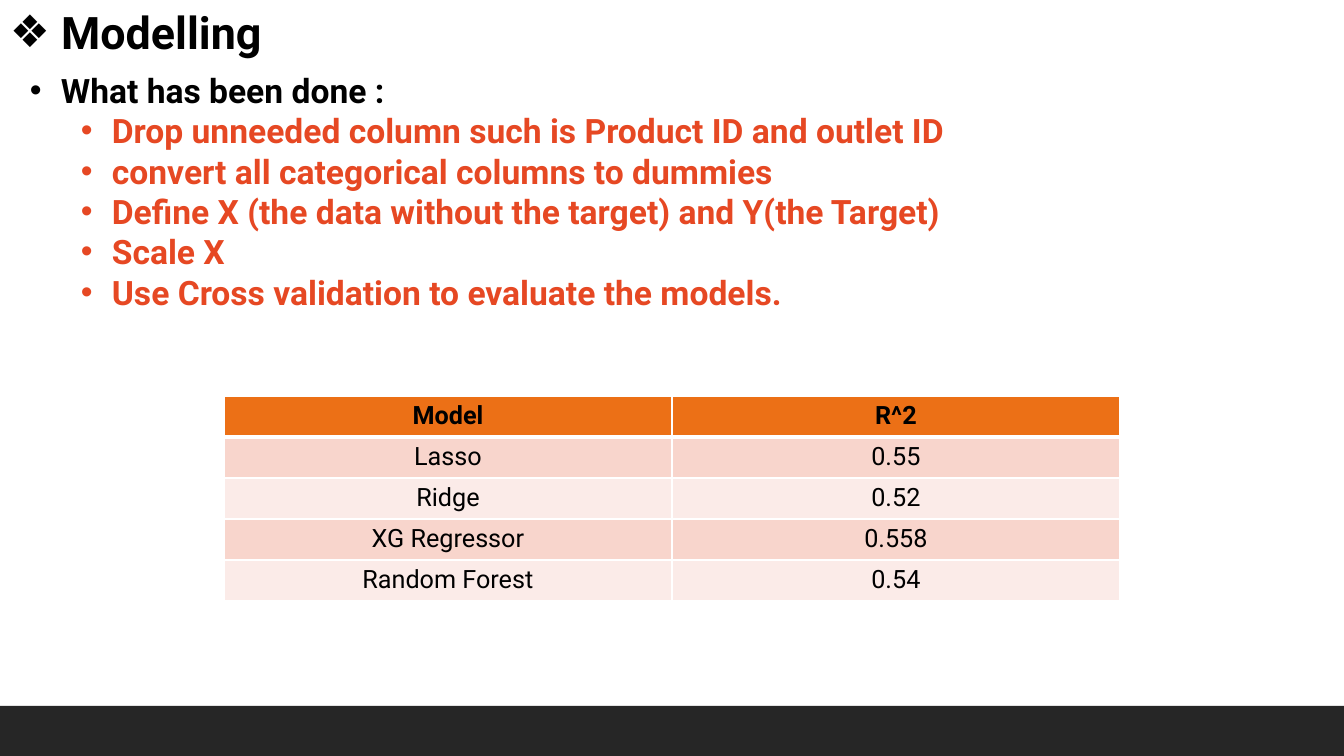
"""Build the Modelling slide with its preparation steps and model score table."""
import pptx
import pptx.util
import pptx.dml.color
import pptx.enum.shapes
import pptx.enum.text
import pptx.oxml.ns
import lxml.etree

PX = 914400 / 100.8
BLACK = pptx.dml.color.RGBColor(0x00, 0x00, 0x00)
WHITE = pptx.dml.color.RGBColor(0xFF, 0xFF, 0xFF)
RED = pptx.dml.color.RGBColor(0xE6, 0x48, 0x23)
CHARCOAL = pptx.dml.color.RGBColor(0x26, 0x26, 0x26)
ORANGE = pptx.dml.color.RGBColor(0xEC, 0x70, 0x16)
PINK = pptx.dml.color.RGBColor(0xF8, 0xD5, 0xCC)
PALE_PINK = pptx.dml.color.RGBColor(0xFB, 0xEB, 0xE8)


def px(*lengths):
    return [pptx.util.Emu(round(length * PX)) for length in lengths]


def add_run(paragraph, text, size, color, bold):
    run = paragraph.add_run()
    run.text = text
    run.font.name = "Roboto"
    run.font.size = pptx.util.Pt(size)
    run.font.bold = bold
    run.font.color.rgb = color


presentation = pptx.Presentation()
presentation.slide_width, presentation.slide_height = px(1344, 756)
slide = presentation.slides.add_slide(presentation.slide_layouts[6])

footer = slide.shapes.add_shape(
    pptx.enum.shapes.MSO_SHAPE.RECTANGLE, *px(0, 706, 1344, 50))
footer.shadow.inherit = False
footer.fill.solid()
footer.fill.fore_color.rgb = CHARCOAL
footer.line.fill.background()

steps = [
    "Drop unneeded column such is Product ID and outlet ID",
    "convert all categorical columns to dummies",
    "Define X (the data without the target) and Y(the Target)",
    "Scale X",
    "Use Cross validation to evaluate the models.",
]
title_lines = [(" Modelling", 0, BLACK)]
step_lines = [("What has been done :", 0, BLACK)] + [(step, 1, RED) for step in steps]
text_boxes = [
    ((0, 0, 666, 65), "❖", 32, title_lines),
    ((20, 65, 1292, 295), "•", 24, step_lines),
]
level_margins = px(31, 82)
hanging_indent = px(-31)[0]
for box, bullet, size, lines in text_boxes:
    text_frame = slide.shapes.add_textbox(*px(*box)).text_frame
    text_frame.word_wrap = True
    for index, (text, level, color) in enumerate(lines):
        paragraph = text_frame.add_paragraph() if index else text_frame.paragraphs[0]
        paragraph.level = level
        properties = paragraph._p.get_or_add_pPr()
        properties.set("marL", str(level_margins[level]))
        properties.set("indent", str(hanging_indent))
        lxml.etree.SubElement(
            properties, pptx.oxml.ns.qn("a:buFont"), typeface="Arial")
        lxml.etree.SubElement(
            properties, pptx.oxml.ns.qn("a:buChar"), char=bullet)
        add_run(paragraph, text, size, color, True)

scores = [
    ("Model", "R^2"),
    ("Lasso", "0.55"),
    ("Ridge", "0.52"),
    ("XG Regressor", "0.558"),
    ("Random Forest", "0.54"),
]
table = slide.shapes.add_table(len(scores), 2, *px(224, 396, 896, 205)).table
for row_index, row in enumerate(scores):
    header = row_index == 0
    for column_index, text in enumerate(row):
        cell = table.cell(row_index, column_index)
        cell_properties = cell._tc.get_or_add_tcPr()
        for side in ("L", "R", "T", "B"):
            thick = (header and side == "B") or (row_index == 1 and side == "T")
            border = lxml.etree.SubElement(
                cell_properties, pptx.oxml.ns.qn(f"a:ln{side}"),
                w=str(pptx.util.Pt(3 if thick else 1)))
            border_fill = lxml.etree.SubElement(
                border, pptx.oxml.ns.qn("a:solidFill"))
            lxml.etree.SubElement(
                border_fill, pptx.oxml.ns.qn("a:srgbClr"), val=str(WHITE))
        cell.fill.solid()
        cell.fill.fore_color.rgb = (
            ORANGE if header else PINK if row_index % 2 else PALE_PINK)
        paragraph = cell.text_frame.paragraphs[0]
        paragraph.alignment = pptx.enum.text.PP_ALIGN.CENTER
        add_run(paragraph, text, 18, BLACK, header)

presentation.save("out.pptx")
